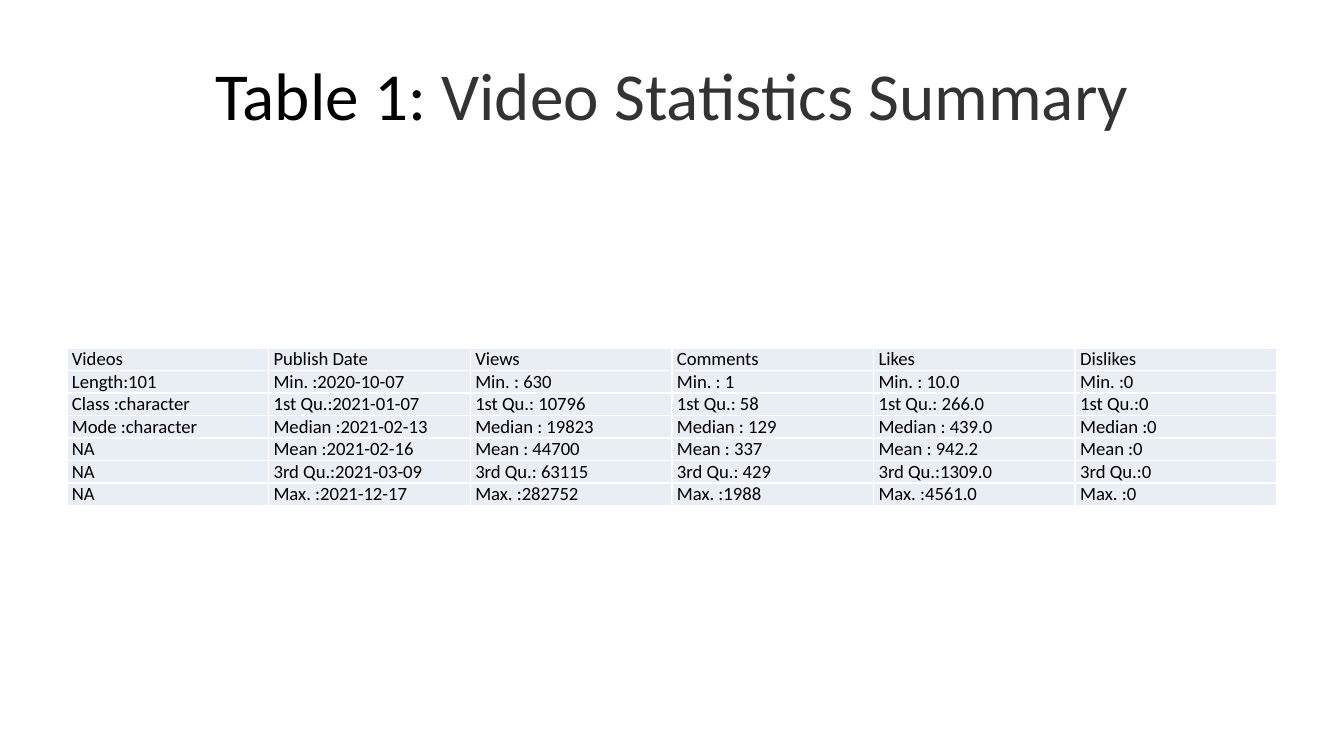
from lxml import etree
from pptx import Presentation
from pptx.dml.color import RGBColor
from pptx.enum.text import MSO_ANCHOR, PP_ALIGN
from pptx.oxml.ns import qn
from pptx.util import Pt

PX = 914400 / 134.4
MIDDLE = MSO_ANCHOR.MIDDLE
CENTER = PP_ALIGN.CENTER
BLACK = RGBColor(0x00, 0x00, 0x00)
GRAY = RGBColor(0x33, 0x33, 0x33)
WHITE = RGBColor(0xFF, 0xFF, 0xFF)
PALE = RGBColor(0xE9, 0xED, 0xF4)

TITLE = [("Table 1: ", BLACK), ("Video Statistics Summary", GRAY)]
HEADS = ["Videos", "Publish Date", "Views", "Comments", "Likes", "Dislikes"]
KINDS = ["Length:101", "Class :character", "Mode :character", "NA", "NA", "NA"]
STATS = ["Min. :", "1st Qu.:", "Median :", "Mean :", "3rd Qu.:", "Max. :"]
VALUES = [
    ["2020-10-07", " 630", " 1", " 10.0", "0"],
    ["2021-01-07", " 10796", " 58", " 266.0", "0"],
    ["2021-02-13", " 19823", " 129", " 439.0", "0"],
    ["2021-02-16", " 44700", " 337", " 942.2", "0"],
    ["2021-03-09", " 63115", " 429", "1309.0", "0"],
    ["2021-12-17", "282752", "1988", "4561.0", "0"],
]


def px(n):
    return round(n * PX)


def assign(obj, form):
    for name, value in form.items():
        setattr(obj, name, value)


def add_run(para, text, size, color):
    run = para.add_run()
    run.text = text
    assign(run.font, {"name": "Calibri", "size": Pt(size)})
    run.font.color.rgb = color


def add_title(slide, box, parts):
    frame = slide.shapes.add_textbox(*map(px, box)).text_frame
    assign(frame, {"word_wrap": True, "vertical_anchor": MIDDLE})
    para = frame.paragraphs[0]
    para.alignment = CENTER
    for text, color in parts:
        add_run(para, text, 36, color)


def add_edges(cell, color, width):
    """Draw a line on all four sides of a cell."""
    props = cell._tc.get_or_add_tcPr()
    for i, side in enumerate(("lnL", "lnR", "lnT", "lnB")):
        line = etree.Element(qn(f"a:{side}"), w=str(Pt(width)))
        fill = etree.SubElement(line, qn("a:solidFill"))
        etree.SubElement(fill, qn("a:srgbClr"), val=str(color))
        props.insert(i, line)


def fill_cell(cell, text):
    assign(cell, {"margin_left": px(5), "margin_right": px(5),
                  "margin_top": 0, "margin_bottom": 0})
    cell.fill.solid()
    cell.fill.fore_color.rgb = PALE
    add_edges(cell, WHITE, 1)
    para = cell.text_frame.paragraphs[0]
    para.space_after = Pt(3)
    add_run(para, text, 10, BLACK)


def add_grid(slide, box, rows):
    size = len(rows), len(rows[0])
    table = slide.shapes.add_table(*size, *map(px, box)).table
    assign(table, {"first_row": False, "horz_banding": False})
    for r, row in enumerate(rows):
        for c, text in enumerate(row):
            fill_cell(table.cell(r, c), text)


def main():
    deck = Presentation()
    assign(deck, {"slide_width": px(1344), "slide_height": px(756)})
    slide = deck.slides.add_slide(deck.slide_layouts[6])
    add_title(slide, (67, 31, 1210, 126), TITLE)
    body = [[kind] + [stat + value for value in row]
            for kind, stat, row in zip(KINDS, STATS, VALUES)]
    add_grid(slide, (67, 348, 1210, 157), [HEADS] + body)
    deck.save("out.pptx")


if __name__ == "__main__":
    main()
